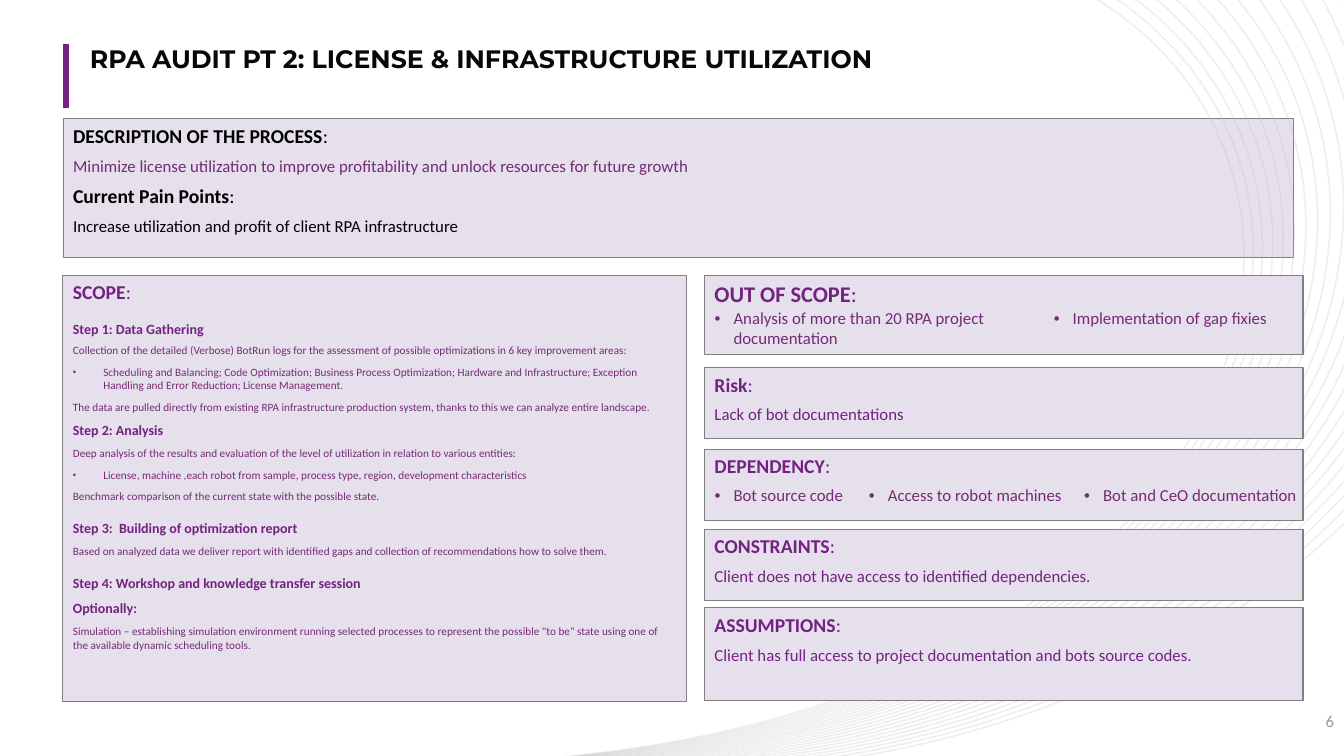
from lxml.etree import SubElement
from pptx import Presentation
from pptx.dml.color import RGBColor
from pptx.enum.shapes import MSO_CONNECTOR, MSO_SHAPE
from pptx.enum.text import MSO_ANCHOR, MSO_AUTO_SIZE, PP_ALIGN
from pptx.oxml.ns import qn
from pptx.util import Pt

PX = 9525
PURPLE = RGBColor(0x73, 0x22, 0x81)
PLUM = RGBColor(0x75, 0x2A, 0x77)
MAUVE = RGBColor(0xA6, 0x8E, 0xA7)
LILAC = RGBColor(0xE6, 0xE0, 0xEC)
GREY = RGBColor(0x80, 0x80, 0x80)
SILVER = RGBColor(0xBF, 0xBF, 0xBF)
BLACK = RGBColor(0, 0, 0)
INK = RGBColor(0x08, 0x08, 0x08)
NO_STYLE = "{2D5ABB26-0587-4C30-8999-92F81FD0307C}"

# Run format for each kind of line
KINDS = {
    "head": dict(size=14, color=PURPLE, bold=True),
    "big head": dict(size=16, color=PURPLE, bold=True),
    "black head": dict(size=14, color=BLACK, bold=True),
    "text": dict(size=12, color=PURPLE),
    "plum text": dict(size=12, color=PLUM),
    "black text": dict(size=12, color=BLACK),
    "step": dict(size=10, color=PURPLE, bold=True),
    "wide step": dict(size=10, color=PURPLE, bold=True),
    "note": dict(size=8, color=PLUM),
    "bullet note": dict(size=8, color=PLUM),
}


def add_run(p, text, size=12, color=PURPLE, bold=False, font="Calibri"):
    r = p.add_run()
    r.text = text
    r.font.name, r.font.size, r.font.bold = font, Pt(size), bold
    r.font.color.rgb = color


def set_bullet(p, indent=0, char=None, color=PLUM, percent=100):
    pPr = p._p.get_or_add_pPr()
    pPr.set("marL", str(indent * PX))
    pPr.set("indent", str(-indent * PX))
    if char is None:
        SubElement(pPr, qn("a:buNone"))
        return
    clr = SubElement(pPr, qn("a:buClr"))
    SubElement(clr, qn("a:srgbClr"), val=str(color))
    SubElement(pPr, qn("a:buSzPct"), val=str(percent * 1000))
    SubElement(pPr, qn("a:buFont"), typeface="Arial")
    SubElement(pPr, qn("a:buChar"), char=char)


def write_lines(tf, lines):
    tf.word_wrap = True
    tf.auto_size = MSO_AUTO_SIZE.NONE
    tf.vertical_anchor = MSO_ANCHOR.TOP
    for i, (kind, text) in enumerate(lines):
        p = tf.add_paragraph() if i else tf.paragraphs[0]
        if kind == "bullet note":
            set_bullet(p, 29, "•", percent=85)
        else:
            set_bullet(p)
        p.alignment = PP_ALIGN.LEFT
        p.space_before = Pt(5.8 if i else 0)
        if kind == "wide step":
            p.line_spacing = 1.5
        first, _, rest = text.partition("\n")
        add_run(p, first, **KINDS[kind])
        if kind.endswith("head"):
            add_run(p, ":", **{**KINDS[kind], "bold": False})
        if rest:
            p.add_line_break()
            SubElement(p._p.find(qn("a:br")), qn("a:rPr"), sz="1000")
            add_run(p, rest, **KINDS["note"])


class SlideBuilder:
    def __init__(self, prs):
        self.s = prs.slides.add_slide(prs.slide_layouts[1])

    def place(self, sp, *box):
        sp.left, sp.top, sp.width, sp.height = (v * PX for v in box)

    def curves(self, arcs):
        """Draw cubic curves, each given as start, two controls and end, in one outline."""
        fb = self.s.shapes.build_freeform(*arcs[0][0], scale=PX)
        for start, *rest in arcs:
            fb.move_to(*start)
            fb.add_line_segments(rest, close=False)
        sp = fb.convert_to_shape()
        sp.shadow.inherit = False
        sp.fill.background()
        sp.line.color.rgb = SILVER
        sp.line.width = Pt(1.14)
        SubElement(sp.line._ln.find(".//" + qn("a:srgbClr")), qn("a:alpha"), val="25000")
        # Join every three line points into one curve
        outline = sp._element.find(".//" + qn("a:path"))
        segments = outline.findall(qn("a:lnTo"))
        for k in range(0, len(segments), 3):
            curve = segments[k].makeelement(qn("a:cubicBezTo"))
            segments[k].addprevious(curve)
            for segment in segments[k:k + 3]:
                curve.append(segment[0])
                outline.remove(segment)

    def line(self, x1, y1, x2, y2, color, width):
        c = self.s.shapes.add_connector(MSO_CONNECTOR.STRAIGHT, *(v * PX for v in (x1, y1, x2, y2)))
        c.line.color.rgb = color
        c.line.width = Pt(width)
        SubElement(c._element.spPr, qn("a:effectLst"))

    def title(self, text, *box):
        sp = self.s.shapes.title
        self.place(sp, *box)
        tf = sp.text_frame
        tf.auto_size = MSO_AUTO_SIZE.NONE
        tf.vertical_anchor = MSO_ANCHOR.MIDDLE
        tf.margin_top, tf.margin_bottom = 5 * PX, 10 * PX
        p = tf.paragraphs[0]
        p.alignment = PP_ALIGN.LEFT
        add_run(p, text, size=18, color=INK, bold=True, font="Montserrat")

    def panel(self, lines, *box, body=False):
        if body:
            sp = self.s.placeholders[1]
            self.place(sp, *box)
        else:
            sp = self.s.shapes.add_shape(MSO_SHAPE.RECTANGLE, *(v * PX for v in box))
            sp.shadow.inherit = False
        sp.fill.solid()
        sp.fill.fore_color.rgb = LILAC
        sp.line.color.rgb = GREY
        sp.line.width = Pt(0.75)
        write_lines(sp.text_frame, lines)

    def bullet_row(self, x, y, widths, texts):
        frame = self.s.shapes.add_table(1, len(texts), x * PX, y * PX, sum(widths) * PX, 30 * PX)
        table = frame.table
        table.first_row = table.horz_banding = False
        table._tbl.tblPr.find(qn("a:tableStyleId")).text = NO_STYLE
        for col, cell, width, text in zip(table.columns, table.rows[0].cells, widths, texts):
            col.width = width * PX
            cell.fill.background()
            p = cell.text_frame.paragraphs[0]
            set_bullet(p, 18, "•")
            add_run(p, text, **KINDS["plum text"])

    def page_number(self, text, *box):
        tf = self.s.shapes.add_textbox(*(v * PX for v in box)).text_frame
        tf.word_wrap = True
        tf.vertical_anchor = MSO_ANCHOR.MIDDLE
        p = tf.paragraphs[0]
        p.alignment = PP_ALIGN.RIGHT
        add_run(p, text, color=MAUVE)


def main():
    prs = Presentation()
    prs.slide_width, prs.slide_height = 1280 * PX, 720 * PX
    b = SlideBuilder(prs)

    # Background fan of arcs and title accent
    b.curves([((1024 + 21 * i, -13 + 0.4 * i), (1344 + 8.64 * i, 161 + 14 * i),
               (1194 - 7.4 * i, 674 + 5.94 * i), (501, 724)) for i in range(22)])
    b.line(63, 42, 63, 103, PURPLE, 4)

    # Title and description
    b.title("RPA AUDIT PT 2: LICENSE & INFRASTRUCTURE UTILIZATION", 76, 42, 1140, 33)
    b.panel([
        ("black head", "DESCRIPTION OF THE PROCESS"),
        ("plum text", "Minimize license utilization to improve profitability and unlock resources for future growth"),
        ("black head", "Current Pain Points"),
        ("black text", "Increase utilization and profit of client RPA infrastructure"),
    ], 60, 113, 1172, 132, body=True)

    # Scope
    b.panel([
        ("head", "SCOPE"),
        ("wide step", "Step 1: Data Gathering\nCollection of the detailed (Verbose) BotRun logs for the assessment of "
                      "possible optimizations in 6 key improvement areas:"),
        ("bullet note", "Scheduling and Balancing; Code Optimization; Business Process Optimization; Hardware and "
                        "Infrastructure; Exception Handling and Error Reduction; License Management."),
        ("note", "The data are pulled directly from existing RPA infrastructure production system, thanks to this "
                 "we can analyze entire landscape."),
        ("step", "Step 2: Analysis"),
        ("note", "Deep analysis of the results and evaluation of the level of utilization in relation to various entities:"),
        ("bullet note", "License, machine ,each robot from sample, process type, region, development characteristics"),
        ("note", "Benchmark comparison of the current state with the possible state."),
        ("wide step", "Step 3:  Building of optimization report"),
        ("note", "Based on analyzed data we deliver report with identified gaps and collection of recommendations "
                 "how to solve them."),
        ("wide step", "Step 4: Workshop and knowledge transfer session"),
        ("step", "Optionally:"),
        ("note", "Simulation – establishing simulation environment running selected processes to represent the "
                 "possible \"to be\" state using one of the available dynamic scheduling tools."),
    ], 60, 262, 594, 406)

    # Right column
    for y, h, lines in (
        (262, 76, [("big head", "OUT OF SCOPE")]),
        (350, 68, [("head", "Risk"), ("text", "Lack of bot documentations")]),
        (428, 68, [("head", "DEPENDENCY")]),
        (504, 68, [("head", "CONSTRAINTS"), ("text", "Client does not have access to identified dependencies.")]),
        (579, 88, [("head", "ASSUMPTIONS"),
                   ("text", "Client has full access to project documentation and bots source codes.")]),
    ):
        b.panel(lines, 671, y, 570, h)
    b.bullet_row(671, 289, (323, 232),
                 ("Analysis of more than 20 RPA project documentation", "Implementation of gap fixies"))
    b.bullet_row(671, 458, (147, 205, 269),
                 ("Bot source code", "Access to robot machines", "Bot and CeO documentation"))

    b.page_number("6", 981, 667, 299, 38)
    prs.save("out.pptx")


if __name__ == "__main__":
    main()
